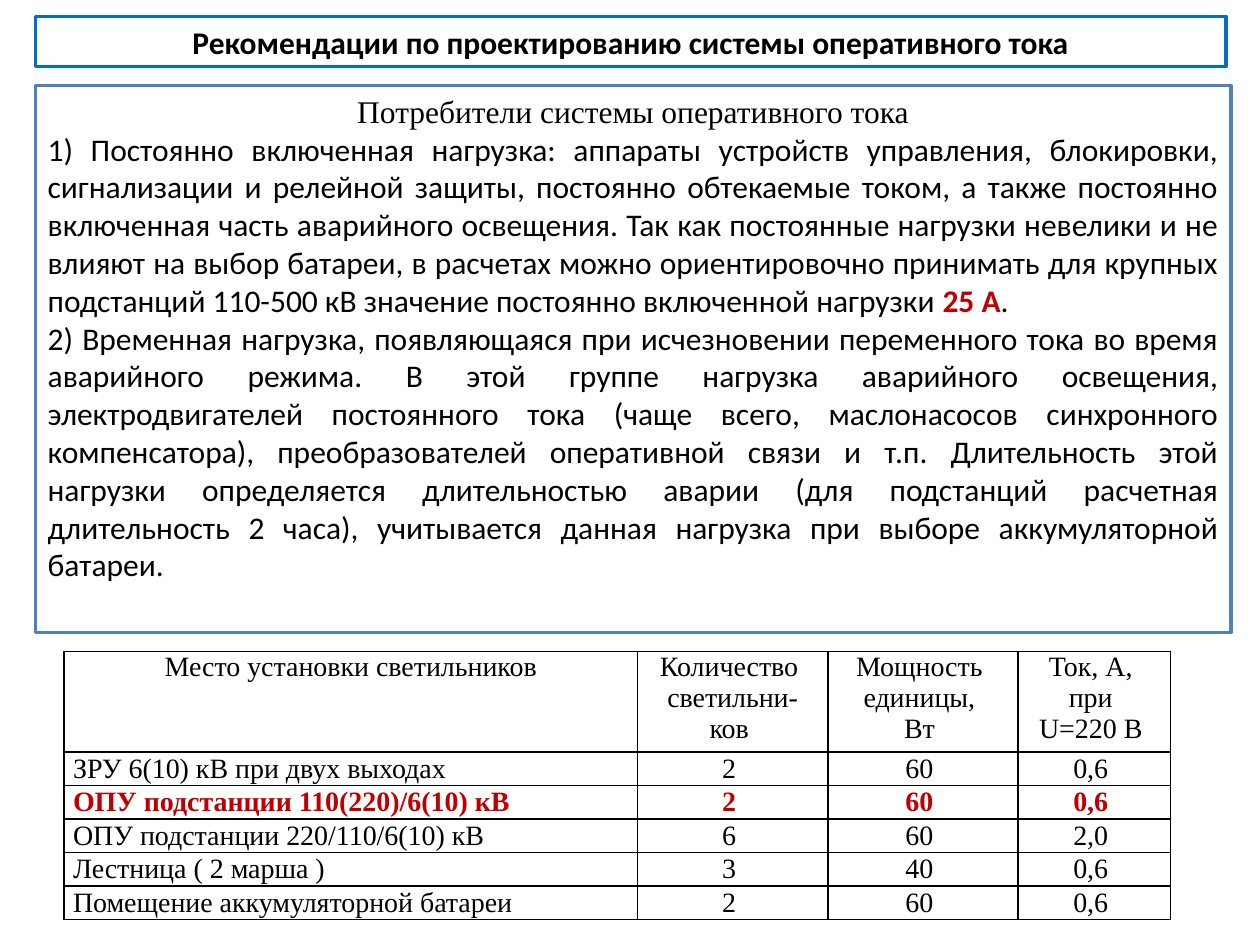
from lxml import etree
from pptx import Presentation
from pptx import util as u
from pptx.dml.color import RGBColor
from pptx.enum import shapes, text
from pptx.oxml.ns import qn

BLACK, RED, WHITE = "000000", "C00000", "FFFFFF"
SANS, SERIF = "Calibri", "Times New Roman"
ALIGN = text.PP_ALIGN

TITLE = "Рекомендации по проектированию системы оперативного тока"
HEADING = "Потребители системы оперативного тока"
CONSTANT_LOAD = (
    "1) Постоянно включенная нагрузка: аппараты устройств управления, блокировки, "
    "сигнализации и релейной защиты, постоянно обтекаемые током, а также постоянно "
    "включенная часть аварийного освещения. Так как постоянные нагрузки невелики и не "
    "влияют на выбор батареи, в расчетах можно ориентировочно принимать для крупных "
    "подстанций 110-500 кВ значение постоянно включенной нагрузки "
)
TEMPORARY_LOAD = (
    "2) Временная нагрузка, появляющаяся при исчезновении переменного тока во время "
    "аварийного режима. В этой группе нагрузка аварийного освещения, электродвигателей "
    "постоянного тока (чаще всего, маслонасосов синхронного компенсатора), "
    "преобразователей оперативной связи и т.п. Длительность этой нагрузки определяется "
    "длительностью аварии (для подстанций расчетная длительность 2 часа), учитывается "
    "данная нагрузка при выборе аккумуляторной батареи."
)
HEADERS = [
    ["Место установки светильников"],
    ["Количество ", "светильни-", "ков "],
    ["Мощность ", "единицы, ", "Вт "],
    ["Ток, А, ", "при ", "U=220 В "],
]
LIGHTS = [
    ("ЗРУ 6(10) кВ при двух выходах", "2 ", "60 ", "0,6 "),
    ("ОПУ подстанции 110(220)/6(10) кВ", "2 ", "60 ", "0,6 "),
    ("ОПУ подстанции 220/110/6(10) кВ", "6 ", "60 ", "2,0 "),
    ("Лестница ( 2 марша )", "3 ", "40 ", "0,6 "),
    ("Помещение аккумуляторной батареи", "2 ", "60 ", "0,6 "),
]
HIGHLIGHTED_ROW = 2
COLUMN_WIDTHS = [4.55, 1.51, 1.51, 1.21]
HEADER_HEIGHT = 0.8


def color(value):
    """Turn a hex string into a colour."""
    return RGBColor.from_string(value)


def add_text(paragraph, content, size=18, font=SANS, fill=BLACK, bold=False, align=None):
    """Append a formatted run to a paragraph."""
    run = paragraph.add_run()
    run.text = content
    run.font.size = u.Pt(size)
    run.font.name = font
    run.font.bold = bold
    run.font.color.rgb = color(fill)
    if align is not None:
        paragraph.alignment = align


def add_frame(slide, box, line):
    """Draw an outlined rectangle and return its text frame."""
    shape = slide.shapes.add_shape(
        shapes.MSO_SHAPE.RECTANGLE, *[u.Inches(length) for length in box]
    )
    shape.shadow.inherit = False
    shape.fill.background()
    shape.line.color.rgb = color(line)
    shape.line.width = u.Pt(2)
    frame = shape.text_frame
    frame.word_wrap = True
    frame.vertical_anchor = text.MSO_ANCHOR.TOP
    return frame


def add_title(slide, box):
    """Place the framed slide title."""
    frame = add_frame(slide, box, "0070C0")
    add_text(frame.paragraphs[0], TITLE, bold=True, align=ALIGN.CENTER)


def add_consumers(slide, box):
    """Place the framed description of the loads."""
    frame = add_frame(slide, box, "4F81BD")
    add_text(frame.paragraphs[0], HEADING, font=SERIF, align=ALIGN.CENTER)
    constant = frame.add_paragraph()
    add_text(constant, CONSTANT_LOAD, align=ALIGN.JUSTIFY)
    add_text(constant, "25 А", fill=RED, bold=True)
    add_text(constant, ".")
    add_text(frame.add_paragraph(), TEMPORARY_LOAD, align=ALIGN.JUSTIFY)


def add_borders(cell):
    """Put a thin black line on each side of a cell."""
    properties = cell._tc.get_or_add_tcPr()
    for index, side in enumerate(("a:lnL", "a:lnR", "a:lnT", "a:lnB")):
        line = etree.Element(qn(side), w=str(u.Pt(1)))
        fill = etree.SubElement(line, qn("a:solidFill"))
        etree.SubElement(fill, qn("a:srgbClr"), val=BLACK)
        properties.insert(index, line)


def fill_cell(cell, lines, anchor, **text_format):
    """Write lines into a table cell and style it."""
    cell.fill.solid()
    cell.fill.fore_color.rgb = color(WHITE)
    cell.margin_left = cell.margin_right = u.Inches(0.07)
    cell.margin_top = cell.margin_bottom = 0
    cell.vertical_anchor = anchor
    frame = cell.text_frame
    for index, line in enumerate(lines):
        paragraph = frame.add_paragraph() if index else frame.paragraphs[0]
        add_text(paragraph, line, size=16, font=SERIF, **text_format)
    add_borders(cell)


def add_lights_table(slide, box):
    """Place the table of emergency lights."""
    rows = [HEADERS] + [[[value] for value in row] for row in LIGHTS]
    table = slide.shapes.add_table(
        len(rows), len(HEADERS), *[u.Inches(length) for length in box]
    ).table
    table.first_row = table.horz_banding = False
    for column, width in zip(table.columns, COLUMN_WIDTHS):
        column.width = u.Inches(width)
    row_height = (box[3] - HEADER_HEIGHT) / len(LIGHTS)
    for r, row in enumerate(rows):
        table.rows[r].height = u.Inches(row_height if r else HEADER_HEIGHT)
        anchor = text.MSO_ANCHOR.MIDDLE if r else text.MSO_ANCHOR.TOP
        highlighted = r == HIGHLIGHTED_ROW
        for c, lines in enumerate(row):
            fill_cell(
                table.cell(r, c),
                lines,
                anchor,
                fill=RED if highlighted else BLACK,
                bold=highlighted,
                align=ALIGN.LEFT if r and c == 0 else ALIGN.CENTER,
            )


def main():
    """Build and save the slide."""
    presentation = Presentation()
    presentation.slide_width = u.Inches(10)
    presentation.slide_height = u.Inches(7.5)
    slide = presentation.slides.add_slide(presentation.slide_layouts[6])
    add_title(slide, (0.28, 0.13, 9.45, 0.4))
    add_consumers(slide, (0.28, 0.68, 9.49, 4.34))
    add_lights_table(slide, (0.51, 5.17, sum(COLUMN_WIDTHS), 2.13))
    presentation.save("out.pptx")


if __name__ == "__main__":
    main()
